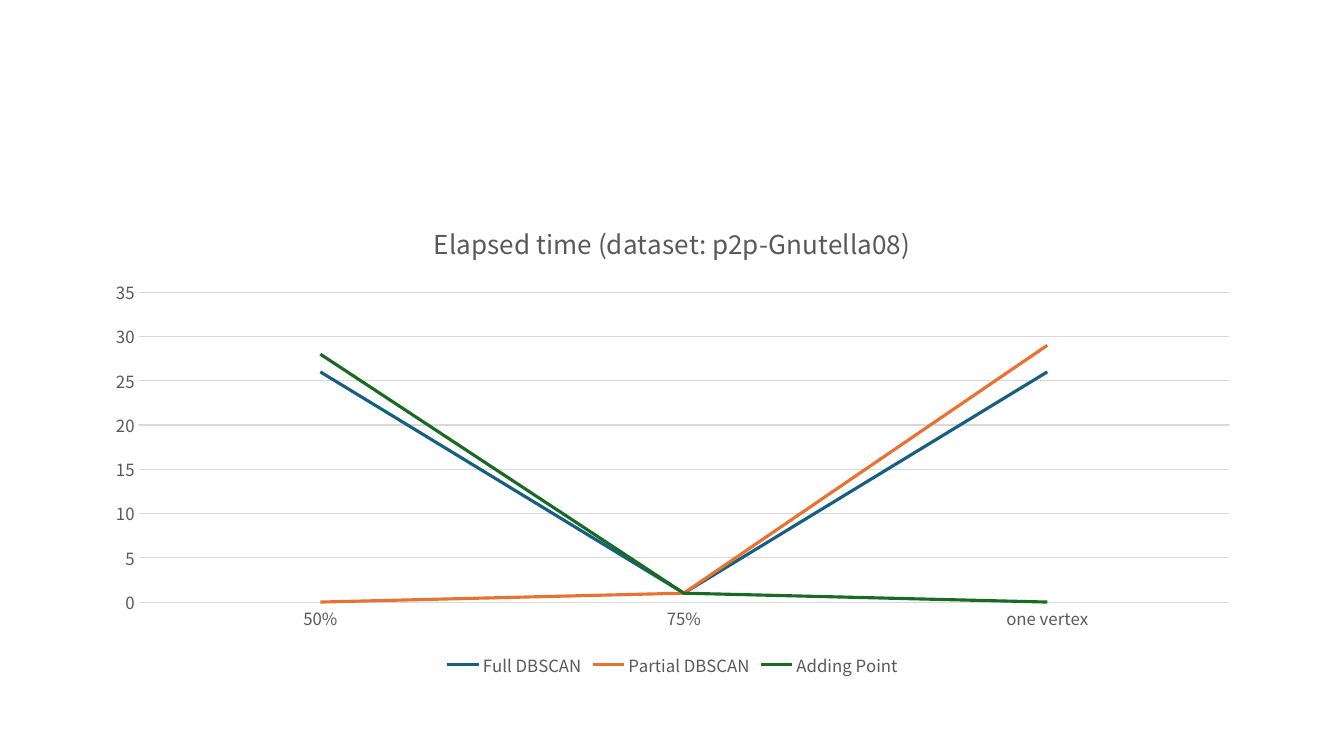
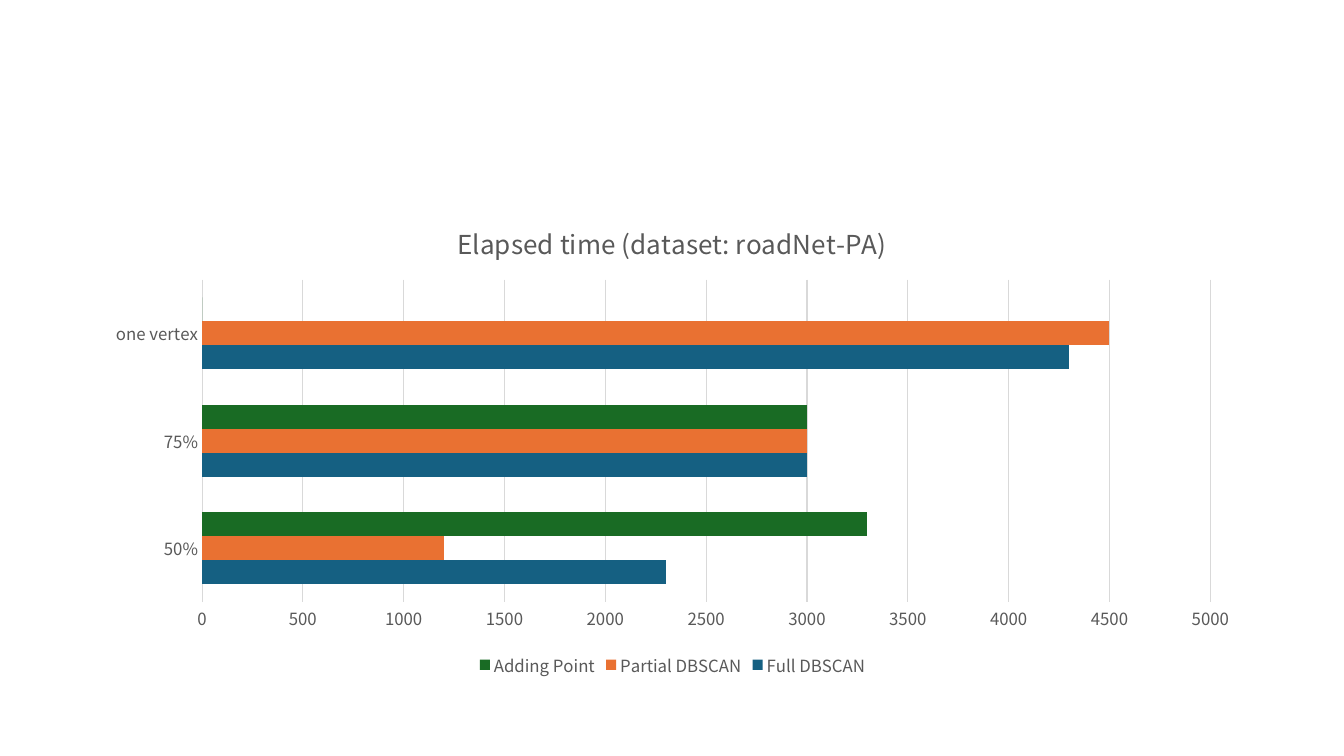
import pptx
import pptx.chart.data
import pptx.dml.color
import pptx.enum.chart
import pptx.util
from dataclasses import dataclass

CHART_TYPE = pptx.enum.chart.XL_CHART_TYPE
EMU_PER_PX = 9144  # 100 px to the inch


@dataclass(frozen=True)
class Theme:
    font: str = "Noto Sans CJK KR"
    text: str = "595959"
    grid: str = "D9D9D9"
    series: tuple = ("156082", "E97132", "196B24")
    title_size: float = 18.6
    label_size: float = 12
    grid_width: float = 0.75
    series_width: float = 2.25
    gap_width: int = 150


THEME = Theme()

# Content
SLIDE_SIZE = (1333, 750)
CHART_BOX = (92, 200, 1150, 476)
CATEGORIES = ("50%", "75%", "one vertex")
METHODS = ("Full DBSCAN", "Partial DBSCAN", "Adding Point")
CHARTS = (
    {
        "title": "Elapsed time (dataset: p2p-Gnutella08)",
        "type": CHART_TYPE.LINE,
        "values": ((26, 1, 26), (0, 1, 29), (28, 1, 0)),
    },
    {
        "title": "Elapsed time (dataset: roadNet-PA)",
        "type": CHART_TYPE.BAR_CLUSTERED,
        "values": ((2300, 3000, 4300), (1200, 3000, 4500), (3300, 3000, 0)),
    },
)


def px(*lengths):
    return [pptx.util.Emu(length * EMU_PER_PX) for length in lengths]


def color(code):
    return pptx.dml.color.RGBColor.from_string(code)


def style_font(font, size):
    font.name = THEME.font
    font.size = pptx.util.Pt(size)
    font.bold = False
    font.color.rgb = color(THEME.text)


def style_line(line, code, width):
    line.color.rgb = color(code)
    line.width = pptx.util.Pt(width)


def style_title(chart, text):
    chart.has_title = True
    chart.chart_title.include_in_layout = False
    paragraph = chart.chart_title.text_frame.paragraphs[0]
    paragraph.text = text
    style_font(paragraph.runs[0].font, THEME.title_size)


def style_axes(chart):
    for axis in (chart.category_axis, chart.value_axis):
        axis.major_tick_mark = pptx.enum.chart.XL_TICK_MARK.NONE
        axis.minor_tick_mark = pptx.enum.chart.XL_TICK_MARK.NONE
        style_font(axis.tick_labels.font, THEME.label_size)
    chart.category_axis.has_major_gridlines = False
    style_line(chart.category_axis.format.line, THEME.grid, THEME.grid_width)
    chart.value_axis.has_major_gridlines = True
    style_line(chart.value_axis.major_gridlines.format.line, THEME.grid, THEME.grid_width)
    chart.value_axis.format.line.fill.background()


def style_legend(chart):
    chart.has_legend = True
    chart.legend.position = pptx.enum.chart.XL_LEGEND_POSITION.BOTTOM
    chart.legend.include_in_layout = False
    style_font(chart.legend.font, THEME.label_size)


def style_series(chart):
    plot = chart.plots[0]
    plot.vary_by_categories = False
    is_line = chart.chart_type == CHART_TYPE.LINE
    if not is_line:
        plot.gap_width = THEME.gap_width
    for series, code in zip(plot.series, THEME.series):
        if is_line:
            series.smooth = False
            style_line(series.format.line, code, THEME.series_width)
        else:
            series.format.fill.solid()
            series.format.fill.fore_color.rgb = color(code)


def add_chart_slide(presentation, content):
    slide = presentation.slides.add_slide(presentation.slide_layouts[6])
    data = pptx.chart.data.CategoryChartData()
    data.categories = CATEGORIES
    for method, values in zip(METHODS, content["values"]):
        data.add_series(method, values)
    chart = slide.shapes.add_chart(content["type"], *px(*CHART_BOX), data).chart
    style_title(chart, content["title"])
    style_axes(chart)
    style_legend(chart)
    style_series(chart)


def main():
    presentation = pptx.Presentation()
    presentation.slide_width, presentation.slide_height = px(*SLIDE_SIZE)
    for content in CHARTS:
        add_chart_slide(presentation, content)
    presentation.save("out.pptx")


if __name__ == "__main__":
    main()
